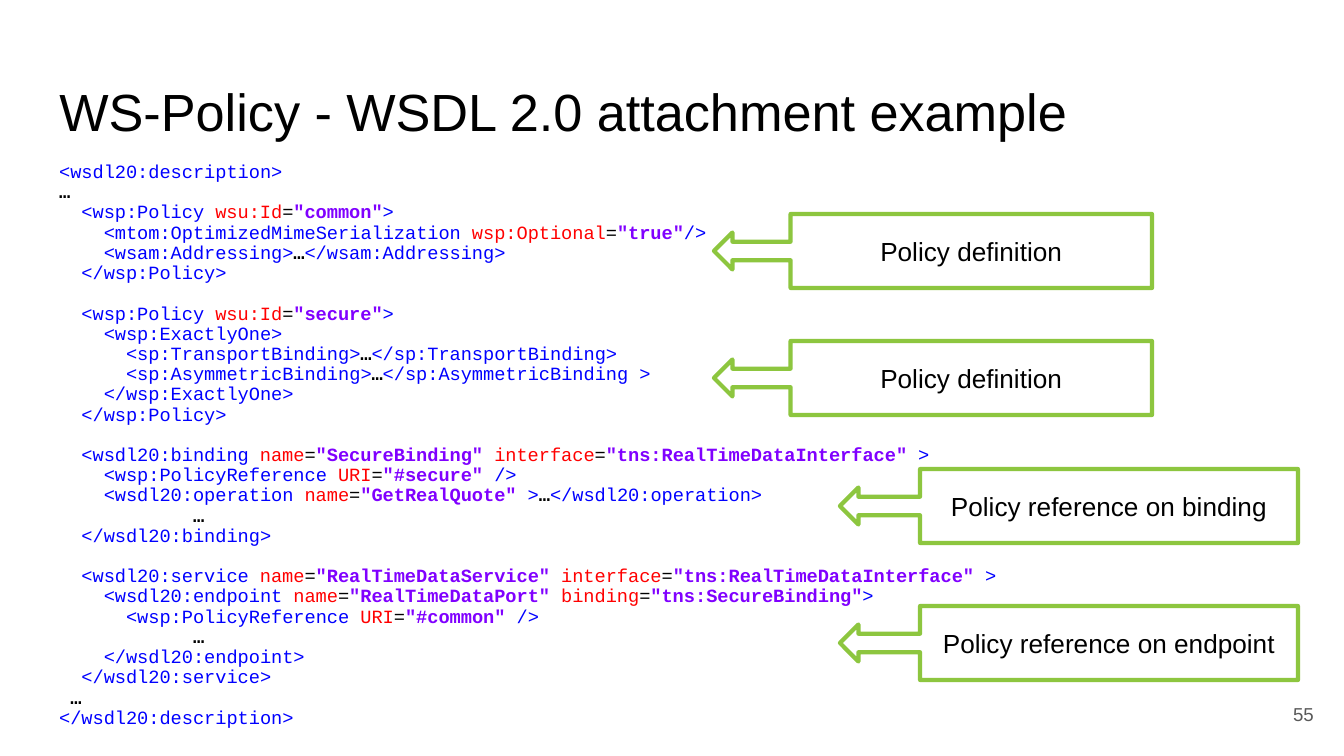
from copy import deepcopy

from pptx import Presentation, util as u
from pptx.dml.color import RGBColor
from pptx.enum import shapes, text
from pptx.oxml.ns import qn

PX = 914400 / 134.4
BLACK = RGBColor(0x00, 0x00, 0x00)
WHITE = RGBColor(0xFF, 0xFF, 0xFF)
GRAY = RGBColor(0x59, 0x59, 0x59)
GREEN = RGBColor(0x8D, 0xC6, 0x3F)
TAG = RGBColor(0x00, 0x00, 0xFF)
ATTRIBUTE = RGBColor(0xFF, 0x00, 0x00)
VALUE = RGBColor(0x80, 0x00, 0xFF)

TITLE = "WS-Policy - WSDL 2.0 attachment example"
PAGE_NUMBER = "55"
CODE_LINES = [
    '<wsdl20:description>',
    '…',
    '  <wsp:Policy wsu:Id="common">',
    '    <mtom:OptimizedMimeSerialization wsp:Optional="true"/>',
    '    <wsam:Addressing>…</wsam:Addressing>',
    '  </wsp:Policy>',
    '',
    '  <wsp:Policy wsu:Id="secure">',
    '    <wsp:ExactlyOne>',
    '      <sp:TransportBinding>…</sp:TransportBinding>',
    '      <sp:AsymmetricBinding>…</sp:AsymmetricBinding >',
    '    </wsp:ExactlyOne>',
    '  </wsp:Policy>',
    '',
    '  <wsdl20:binding name="SecureBinding" interface="tns:RealTimeDataInterface" >',
    '    <wsp:PolicyReference URI="#secure" />',
    '    <wsdl20:operation name="GetRealQuote" >…</wsdl20:operation>',
    '            …',
    '  </wsdl20:binding>',
    '',
    '  <wsdl20:service name="RealTimeDataService" interface="tns:RealTimeDataInterface" >',
    '    <wsdl20:endpoint name="RealTimeDataPort" binding="tns:SecureBinding">',
    '      <wsp:PolicyReference URI="#common" />',
    '            …',
    '    </wsdl20:endpoint>',
    '  </wsdl20:service>',
    ' …',
    '</wsdl20:description>',
]

# label, left, top, width
CALLOUTS = [
    ("Policy definition", 714, 214, 438),
    ("Policy definition", 714, 341, 438),
    ("Policy reference on binding", 840, 469, 458),
    ("Policy reference on endpoint", 840, 606, 458),
]
CALLOUT_HEIGHT = 74
CALLOUT_ADJUSTMENTS = (0.25, 0.25, 0.25, 0.825)


def px(*lengths):
    return [round(length * PX) for length in lengths]


def set_all(target, values):
    for name, value in values.items():
        setattr(target, name, value)


def style_frame(box, anchor=text.MSO_ANCHOR.TOP):
    """Format the text frame of a box and return its first paragraph."""
    frame = box.text_frame
    set_all(frame, dict(
        word_wrap=True, auto_size=text.MSO_AUTO_SIZE.NONE, vertical_anchor=anchor,
        **{f"margin_{side}": u.Inches(0.1)
           for side in ("left", "top", "right", "bottom")}))
    return frame.paragraphs[0]


def add_span(para, words, size, color, font="Arial", bold=False):
    span = para.add_run()
    span.text = words
    set_all(span.font, dict(name=font, size=u.Pt(size), bold=bold))
    span.font.color.rgb = color
    return span


def tokens(line):
    """Yield (words, color, bold) for each coloured piece of an XML line."""
    for index, part in enumerate(line.split('"')):
        if index % 2:
            yield f'"{part}"', VALUE, True
        elif part.endswith("="):
            head, space, name = part[:-1].rpartition(" ")
            yield head + space, TAG, False
            yield name, ATTRIBUTE, False
            yield "=", BLACK, False
        else:
            before, dots, after = part.partition("…")
            yield before, TAG, False
            yield dots, BLACK, True
            yield after, TAG, False


def fill_code(para):
    for number, line in enumerate(CODE_LINES):
        if number:
            para.add_line_break()
        for words, color, bold in tokens(line):
            if words:
                span = add_span(para, words, 10, color, "Courier New", bold)
    # Line breaks need the code font too, or empty lines grow taller.
    for line_break in para._p.findall(qn("a:br")):
        line_break.append(deepcopy(span._r.rPr))


def add_callout(page, label, left, top, width):
    box = page.shapes.add_shape(shapes.MSO_SHAPE.LEFT_ARROW_CALLOUT,
                                *px(left, top, width, CALLOUT_HEIGHT))
    for index, value in enumerate(CALLOUT_ADJUSTMENTS):
        box.adjustments[index] = value
    box.shadow.inherit = False
    box.fill.solid()
    box.fill.fore_color.rgb = WHITE
    box.line.color.rgb = GREEN
    box.line.width = u.Pt(2.25)
    para = style_frame(box, text.MSO_ANCHOR.MIDDLE)
    para.alignment = text.PP_ALIGN.CENTER
    add_span(para, label, 14, BLACK)


def main():
    deck = Presentation()
    deck.slide_width, deck.slide_height = px(1344, 756)
    page = deck.slides.add_slide(deck.slide_layouts[5])

    title = page.shapes.title
    set_all(title, dict(zip(("left", "top", "width", "height"), px(46, 66, 1253, 85))))
    para = style_frame(title)
    para.alignment = text.PP_ALIGN.LEFT
    add_span(para, TITLE, 28, BLACK)

    number = page.shapes.add_textbox(*px(1246, 685, 81, 58))
    para = style_frame(number, text.MSO_ANCHOR.MIDDLE)
    para.alignment = text.PP_ALIGN.RIGHT
    add_span(para, PAGE_NUMBER, 10, GRAY)

    code = page.shapes.add_textbox(*px(46, 149, 1210, 603))
    para = style_frame(code)
    para.line_spacing = 0.9
    fill_code(para)

    for callout in CALLOUTS:
        add_callout(page, *callout)

    deck.save("out.pptx")


if __name__ == "__main__":
    main()
